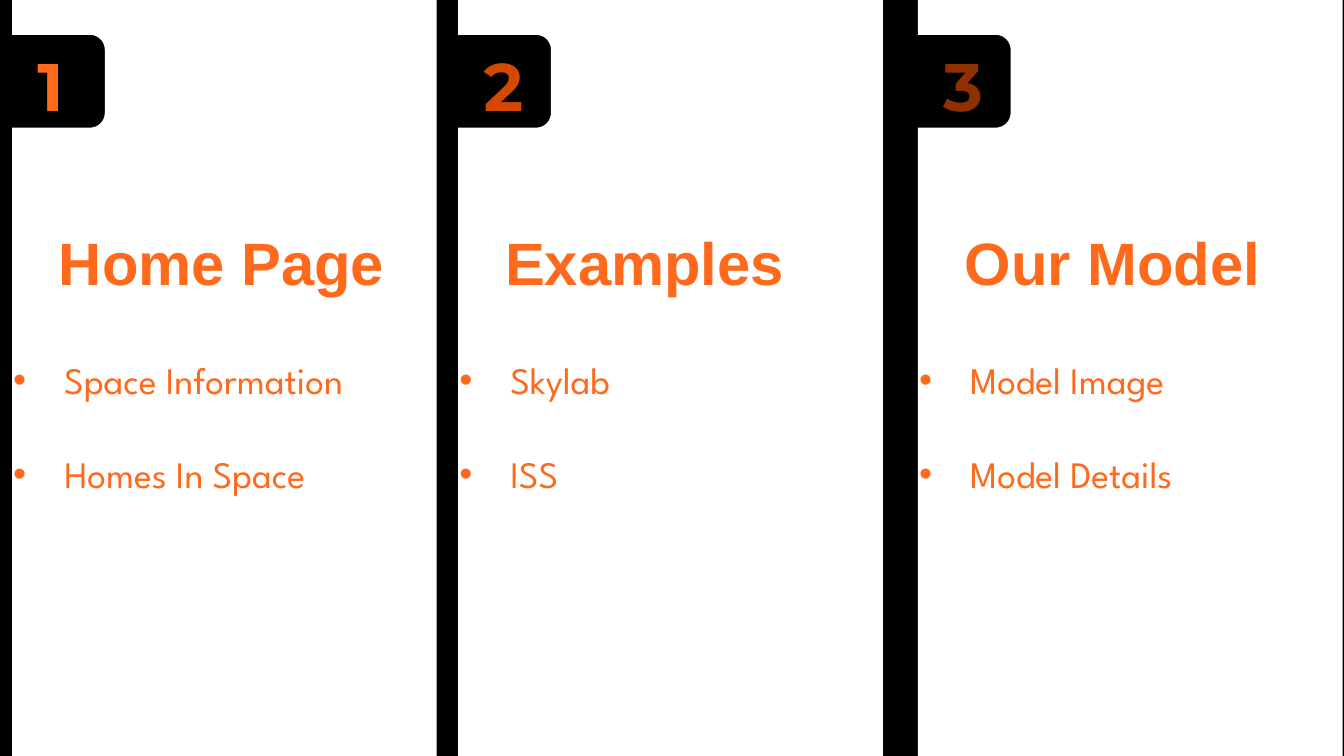
"""Builds a three-panel agenda slide with numbered tabs and bullet lists."""
import math

import pptx
import pptx.dml.color
import pptx.enum.text
import pptx.oxml
import pptx.oxml.ns
import pptx.util

Inches = pptx.util.Inches
RGBColor = pptx.dml.color.RGBColor

BLACK = RGBColor(0x00, 0x00, 0x00)
WHITE = RGBColor(0xFF, 0xFF, 0xFF)
ORANGE = RGBColor(0xFF, 0x69, 0x1C)
DARK_ORANGE = RGBColor(0xD4, 0x48, 0x00)
BROWN = RGBColor(0x8E, 0x30, 0x00)

SLIDE_WIDTH = 10
SLIDE_HEIGHT = SLIDE_WIDTH * 9 / 16
PANEL_WIDTH = 3.16
TAB_WIDTH, TAB_TOP, TAB_BOTTOM = 0.69, 0.26, 0.95
TAB_RADIUS = 0.11
ARC_STEPS = 12
ITEM_TOP, ITEM_PITCH = 2.61, 0.7

PANELS = [
    (0.09, "1", ORANGE, "Home Page", 2.64,
     [("Space Information", 3.33), ("Homes In Space", 2.79)]),
    (3.41, "2", DARK_ORANGE, "Examples", 2.3,
     [("Skylab", 3.33), ("ISS", 1.04)]),
    (6.83, "3", BROWN, "Our Model", 2.42,
     [("Model Image", 3.33), ("Model Details", 2.41)]),
]


def write_text(shape, text, *, font, size, color=ORANGE, bold=False, wrap=False):
    frame = shape.text_frame
    frame.word_wrap = wrap
    frame.auto_size = pptx.enum.text.MSO_AUTO_SIZE.SHAPE_TO_FIT_TEXT
    paragraph = frame.paragraphs[0]
    run = paragraph.add_run()
    run.text = text
    run.font.name = font
    run.font.size = pptx.util.Pt(size)
    run.font.bold = bold
    run.font.color.rgb = color
    return paragraph


def add_bullet(paragraph, color):
    properties = paragraph._p.get_or_add_pPr()
    properties.set("marL", str(Inches(0.38)))
    properties.set("indent", str(-Inches(0.38)))
    namespace = pptx.oxml.ns.nsdecls("a")
    for xml in (
        f'<a:buClr {namespace}><a:srgbClr val="{color}"/></a:buClr>',
        f'<a:buFont {namespace} typeface="Arial"/>',
        f'<a:buChar {namespace} char="•"/>',
    ):
        properties.append(pptx.oxml.parse_xml(xml))


def arc_points(center_x, center_y, start_degrees):
    angles = [math.radians(start_degrees - 90 * step / ARC_STEPS)
              for step in range(ARC_STEPS + 1)]
    return [(center_x + TAB_RADIUS * math.cos(angle),
             center_y + TAB_RADIUS * math.sin(angle)) for angle in angles]


class AgendaSlide:
    def __init__(self, presentation):
        self.heading_font = "Arial"
        self.number_font = "Montserrat"
        self.item_font = "League Spartan"
        self.slide = presentation.slides.add_slide(presentation.slide_layouts[6])
        background = self.slide.background.fill
        background.solid()
        background.fore_color.rgb = BLACK

    def text_box(self, group, left, top, width, height, text, **style):
        shape = group.shapes.add_textbox(
            Inches(left), Inches(top), Inches(width), Inches(height))
        return write_text(shape, text, **style)

    def panel_background(self, group, left):
        right = left + PANEL_WIDTH
        corner_x = left + TAB_WIDTH - TAB_RADIUS
        points = [
            (right, 0), (right, SLIDE_HEIGHT), (left, SLIDE_HEIGHT),
            (left, TAB_BOTTOM),
            *arc_points(corner_x, TAB_BOTTOM - TAB_RADIUS, 90),
            *arc_points(corner_x, TAB_TOP + TAB_RADIUS, 0),
            (left, TAB_TOP),
        ]
        builder = group.shapes.build_freeform(Inches(left), 0)
        builder.add_line_segments([(Inches(x), Inches(y)) for x, y in points])
        shape = builder.convert_to_shape()
        shape.shadow.inherit = False
        shape.fill.solid()
        shape.fill.fore_color.rgb = WHITE
        shape.line.fill.background()

    def panel(self, left, number, number_color, heading, heading_width, items):
        group = self.slide.shapes.add_group_shape()
        self.panel_background(group, left)
        self.text_box(group, left + 0.09, 0.28, 0.54, 0.71, number,
                      font=self.number_font, size=36, color=number_color, bold=True)
        self.text_box(group, left + 0.25, 1.63, heading_width, 0.64, heading,
                      font=self.heading_font, size=32, bold=True)
        for index, (text, width) in enumerate(items):
            paragraph = self.text_box(
                group, left - 0.09, ITEM_TOP + index * ITEM_PITCH, width, 0.44, text,
                font=self.item_font, size=20, wrap=True)
            add_bullet(paragraph, ORANGE)


def main():
    presentation = pptx.Presentation()
    presentation.slide_width = Inches(SLIDE_WIDTH)
    presentation.slide_height = Inches(SLIDE_HEIGHT)
    agenda = AgendaSlide(presentation)
    for panel in PANELS:
        agenda.panel(*panel)
    presentation.save("out.pptx")


if __name__ == "__main__":
    main()
